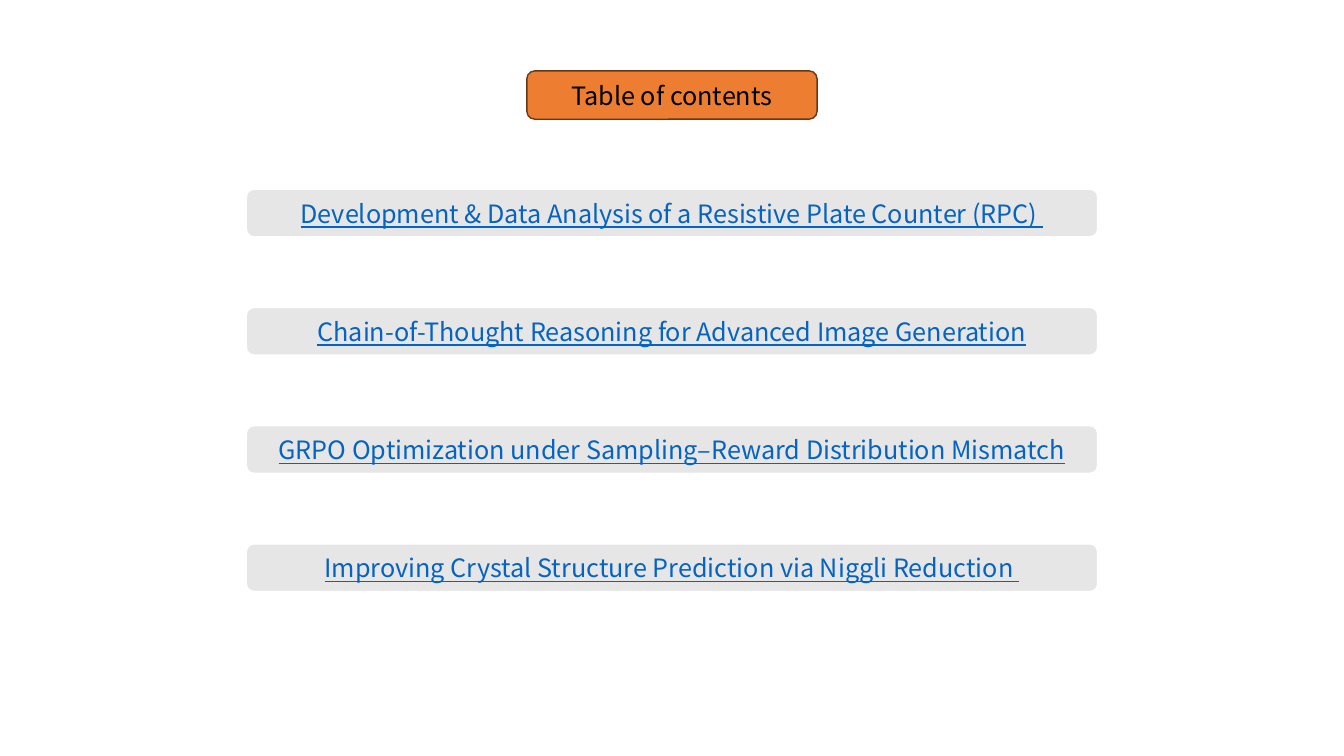
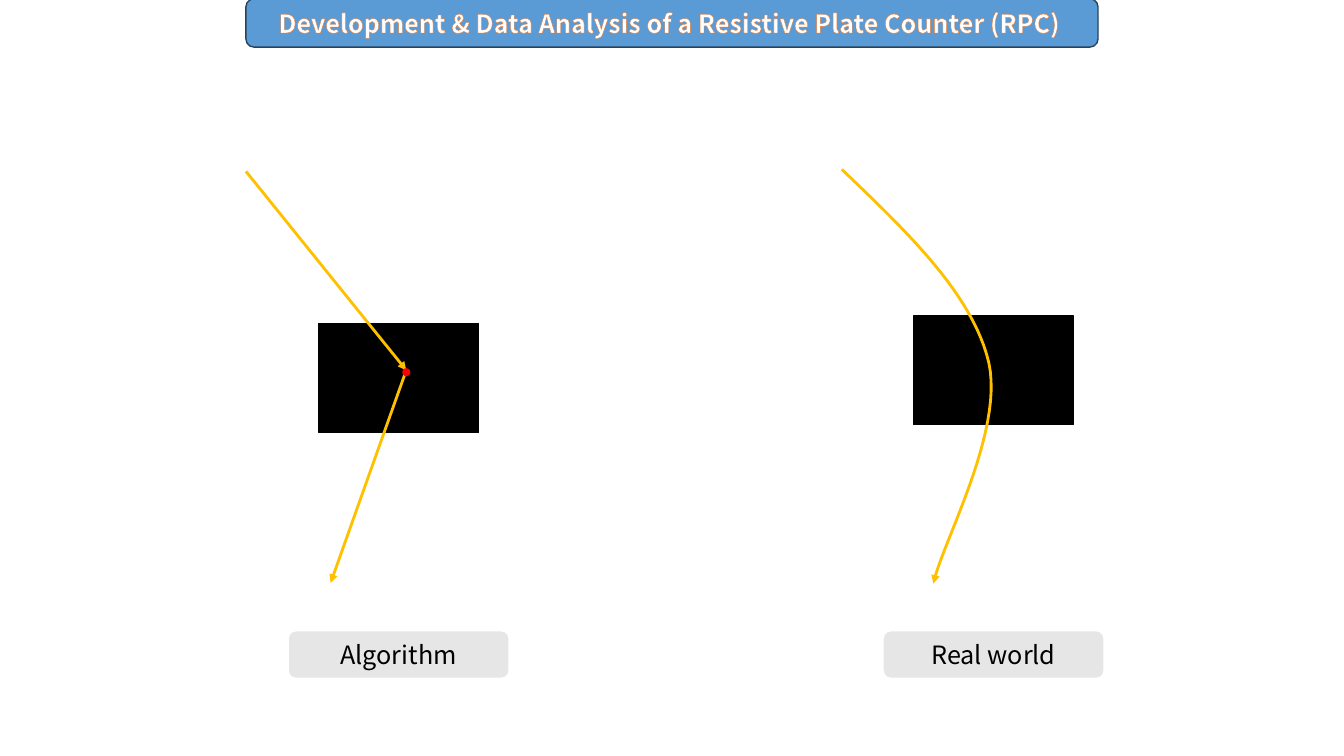
"""Build a contents slide and a particle path comparison slide."""
from dataclasses import dataclass

from lxml import etree
from pptx import Presentation
from pptx.dml.color import RGBColor
from pptx.enum.shapes import MSO_CONNECTOR, MSO_SHAPE
from pptx.enum.text import MSO_ANCHOR, MSO_AUTO_SIZE, PP_ALIGN
from pptx.oxml.ns import qn
from pptx.util import Inches, Pt

ROUNDED = MSO_SHAPE.ROUNDED_RECTANGLE
RECTANGLE = MSO_SHAPE.RECTANGLE
OVAL = MSO_SHAPE.OVAL
STRAIGHT = MSO_CONNECTOR.STRAIGHT
CENTER = PP_ALIGN.CENTER
MIDDLE = MSO_ANCHOR.MIDDLE
NO_FIT = MSO_AUTO_SIZE.NONE


@dataclass(frozen=True)
class Theme:
    font: str = "Noto Sans CJK SC"
    size: int = 18
    black: str = "000000"
    white: str = "FFFFFF"
    grey: str = "E7E6E6"
    link: str = "0563C1"
    orange: str = "ED7D31"
    orange_edge: str = "683715"
    blue: str = "5B9BD5"
    blue_edge: str = "28445D"
    gold: str = "FFC000"
    red: str = "FF0000"
    thin: float = 1
    medium: float = 1.5
    thick: float = 2
    text_outline: float = 0.52


theme = Theme()


def dress(box, fill, edge=None, weight=theme.thin):
    """Give a shape a flat fill and an optional edge."""
    box.shadow.inherit = False
    box.fill.solid()
    box.fill.fore_color.rgb = RGBColor.from_string(fill)
    if edge:
        box.line.color.rgb = RGBColor.from_string(edge)
        box.line.width = Pt(weight)
    else:
        box.line.fill.background()


def write(box, text, color=theme.black, bold=False, underline=False, outline=None):
    """Write one centred line into a shape."""
    frame = box.text_frame
    frame.word_wrap = True
    frame.auto_size = NO_FIT
    frame.vertical_anchor = MIDDLE
    para = frame.paragraphs[0]
    para.alignment = CENTER
    span = para.add_run()
    span.text = text
    span.font.name = theme.font
    span.font.size = Pt(theme.size)
    span.font.bold = bold
    span.font.underline = underline
    span.font.color.rgb = RGBColor.from_string(color)
    if outline:
        edge = etree.Element(qn("a:ln"), w=str(Pt(theme.text_outline)))
        paint = etree.SubElement(edge, qn("a:solidFill"))
        etree.SubElement(paint, qn("a:srgbClr"), val=outline)
        span.font._element.insert(0, edge)


deck = Presentation()
deck.slide_width = Inches(13.333)
deck.slide_height = Inches(7.5)
COLUMN = deck.slide_width / 100
ROW = deck.slide_height / 100
BAR_WIDTH, BAR_HEIGHT = 63.4, 6.4

TOPICS = [
    "Development & Data Analysis of a Resistive Plate Counter (RPC) ",
    "Chain-of-Thought Reasoning for Advanced Image Generation",
    "GRPO Optimization under Sampling–Reward Distribution Mismatch",
    "Improving Crystal Structure Prediction via Niggli Reduction ",
]
TITLES = [
    ("Table of contents", 9.37, 21.6, theme.orange, theme.orange_edge, {}),
    (TOPICS[0], -0.17, BAR_WIDTH, theme.blue, theme.blue_edge,
     {"color": theme.white, "bold": True, "outline": theme.orange}),
]
pages = []
for text, top, width, fill, edge, style in TITLES:
    page = deck.slides.add_slide(deck.slide_layouts[5])
    title = page.shapes.title
    title.left, title.top = int((100 - width) / 2 * COLUMN), int(top * ROW)
    title.width, title.height = int(width * COLUMN), int(BAR_HEIGHT * ROW)
    write(title, text, **style)
    band = page.shapes.add_shape(ROUNDED, title.left, title.top, title.width, title.height)
    dress(band, fill, edge)
    band.element.addnext(title.element)
    pages.append(page)
contents, comparison = pages

TOPIC_TOP, TOPIC_STEP = 24.98, 15.64
for index, topic in enumerate(TOPICS):
    box = contents.shapes.add_shape(
        ROUNDED, int((100 - BAR_WIDTH) / 2 * COLUMN), int((TOPIC_TOP + index * TOPIC_STEP) * ROW),
        int(BAR_WIDTH * COLUMN), int(BAR_HEIGHT * ROW))
    dress(box, theme.grey, theme.white, theme.medium)
    write(box, topic, color=theme.link, underline=True)

PLATE_WIDTH, PLATE_HEIGHT = 11.9, 14.4
CAPTION_WIDTH, CAPTION_TOP = 16.5, 83.38
for caption, center, plate_top in [("Algorithm", 29.66, 42.8), ("Real world", 73.93, 41.78)]:
    plate = comparison.shapes.add_shape(
        RECTANGLE, int((center - PLATE_WIDTH / 2) * COLUMN), int(plate_top * ROW),
        int(PLATE_WIDTH * COLUMN), int(PLATE_HEIGHT * ROW))
    dress(plate, theme.black, theme.black)
    label = comparison.shapes.add_shape(
        ROUNDED, int((center - CAPTION_WIDTH / 2) * COLUMN), int(CAPTION_TOP * ROW),
        int(CAPTION_WIDTH * COLUMN), int(BAR_HEIGHT * ROW))
    dress(label, theme.grey, theme.white, theme.medium)
    write(label, caption)

ENTRY, HIT, EXIT = (18.3, 22.67), (30.23, 48.98), (24.6, 77.1)
arrows = []
for start, end in [(ENTRY, HIT), (HIT, EXIT)]:
    arrows.append(comparison.shapes.add_connector(
        STRAIGHT, int(start[0] * COLUMN), int(start[1] * ROW),
        int(end[0] * COLUMN), int(end[1] * ROW)))

CURVES = [
    [(62.63, 22.4), (67.5, 30.67), (72.38, 38.93), (73.58, 48)],
    [(73.58, 48), (74.7, 57.2), (70.05, 72), (69.45, 77.2)],
]
STEPS = 24
points = []
for curve in CURVES:
    for step in range(1, STEPS + 1):
        t = step / STEPS
        weights = [(1 - t) ** 3, 3 * t * (1 - t) ** 2, 3 * t ** 2 * (1 - t), t ** 3]
        x = sum(weight * point[0] for weight, point in zip(weights, curve))
        y = sum(weight * point[1] for weight, point in zip(weights, curve))
        points.append((int(x * COLUMN), int(y * ROW)))
origin = CURVES[0][0]
builder = comparison.shapes.build_freeform(int(origin[0] * COLUMN), int(origin[1] * ROW))
builder.add_line_segments(points, close=False)
bend = builder.convert_to_shape()
bend.fill.background()
arrows.append(bend)

for arrow in arrows:
    arrow.line.color.rgb = RGBColor.from_string(theme.gold)
    arrow.line.width = Pt(theme.thick)
    properties = arrow.element.spPr
    etree.SubElement(properties.find(qn("a:ln")), qn("a:tailEnd"), type="triangle")
    etree.SubElement(properties, qn("a:effectLst"))

DOT = 0.6 * COLUMN
dot = comparison.shapes.add_shape(
    OVAL, int(HIT[0] * COLUMN - DOT / 2), int((HIT[1] + 0.25) * ROW - DOT / 2), int(DOT), int(DOT))
dress(dot, theme.red)

deck.save("out.pptx")
